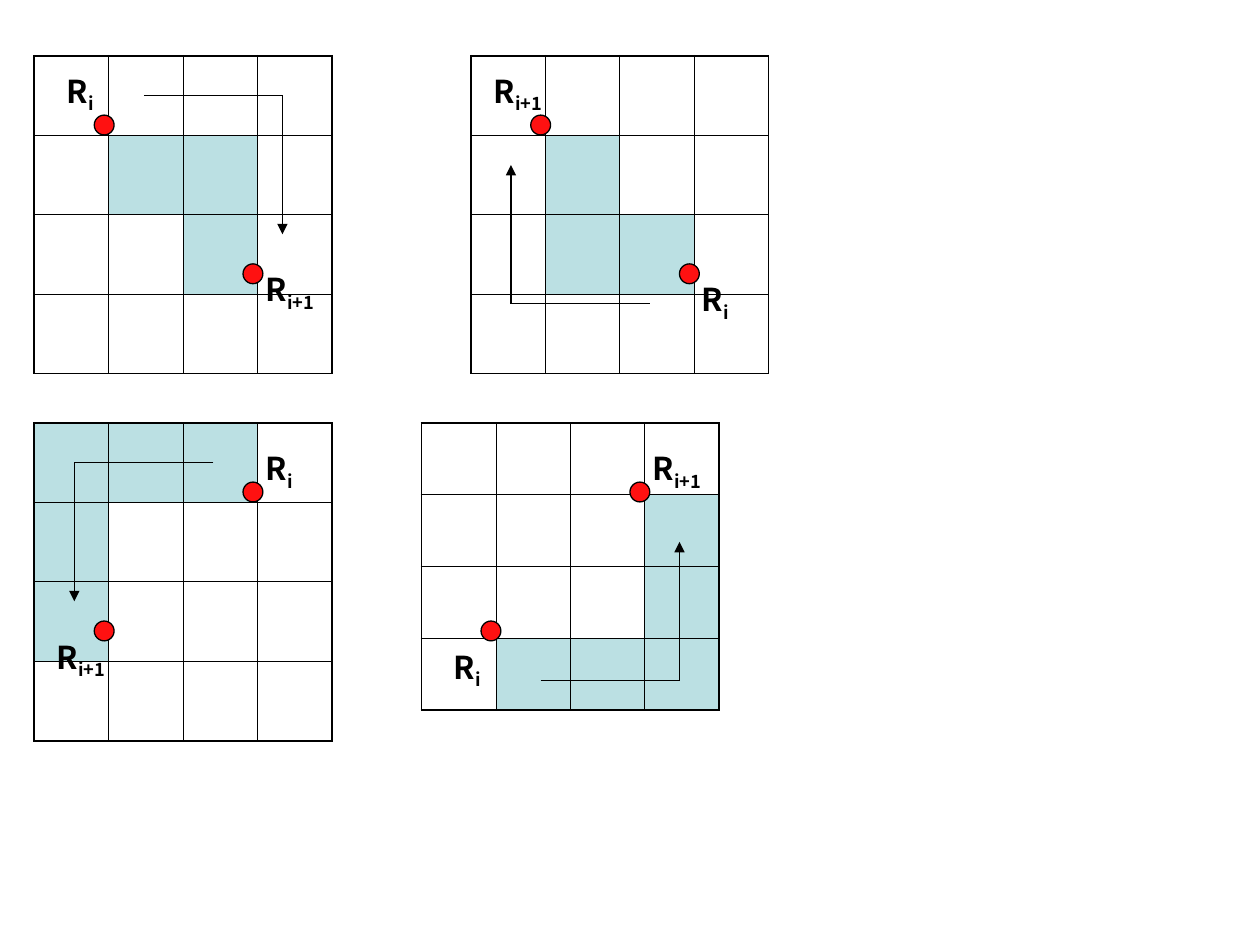
"""Build a slide of four grids showing moves from one point to the next."""
from lxml.etree import SubElement
from pptx import Presentation
from pptx.dml.color import RGBColor
from pptx.enum.shapes import MSO_CONNECTOR, MSO_SHAPE
from pptx.enum.text import MSO_AUTO_SIZE
from pptx.oxml.ns import qn
from pptx.util import Pt

COLORS = {"line": "000000", "cell": "BBE0E3", "dot": "FF1111"}
FONT = "Noto Sans CJK KR"
GRID_SIZE = 4
COLUMN_WIDTH = 42.5
DOT_SIZE = 11.34
INNER_BORDER, OUTER_BORDER = 0.45, 1.08

PANELS = [
    {"origin": (19.6, 31.9), "row_height": 45.4,
     "filled": {(1, 1), (1, 2), (2, 2)},
     "dots": [(53.9, 65.8), (138.9, 150.8)],
     "labels": [("i", 31.1, 37.4, 34), ("i+1", 144.7, 150.9, 51)],
     "arrow": [(82.2, 54.5), (161.4, 54.5), (161.4, 133.9)]},
    {"origin": (269.2, 31.9), "row_height": 45.4,
     "filled": {(1, 1), (2, 1), (2, 2)},
     "dots": [(303.3, 65.8), (388.3, 150.8)],
     "labels": [("i+1", 275, 37.4, 57), ("i", 394, 156.7, 45.4)],
     "arrow": [(371.4, 173.5), (292, 173.5), (292, 94.3)]},
    {"origin": (19.6, 241.7), "row_height": 45.4,
     "filled": {(0, 0), (0, 1), (0, 2), (1, 0), (2, 0)},
     "dots": [(138.9, 275.5), (53.9, 354.9)],
     "labels": [("i", 144.7, 253, 45.4), ("i+1", 25.3, 360.8, 45.4)],
     "arrow": [(121.9, 264.3), (42.5, 264.3), (42.5, 343.6)]},
    {"origin": (240.9, 241.7), "row_height": 41,
     "filled": {(1, 3), (2, 3), (3, 1), (3, 2), (3, 3)},
     "dots": [(274.9, 354.9), (360, 275.5)],
     "labels": [("i", 252.1, 366.5, 39.6), ("i+1", 365.8, 253, 45.4)],
     "arrow": [(309, 389), (388.3, 389), (388.3, 309.7)]},
]


def color(name):
    return RGBColor.from_string(COLORS[name])


def add_border(properties, side, width):
    line = SubElement(properties, qn(f"a:ln{side}"), w=str(Pt(width)))
    fill = SubElement(line, qn("a:solidFill"))
    SubElement(fill, qn("a:srgbClr"), val=COLORS["line"])


def add_grid(slide, origin, row_height, filled):
    left, top = origin
    frame = slide.shapes.add_table(
        GRID_SIZE, GRID_SIZE, Pt(left), Pt(top),
        Pt(GRID_SIZE * COLUMN_WIDTH), Pt(GRID_SIZE * row_height))
    table = frame.table
    table.first_row = table.horz_banding = False
    last = GRID_SIZE - 1
    for row in range(GRID_SIZE):
        for column in range(GRID_SIZE):
            cell = table.cell(row, column)
            properties = cell._tc.get_or_add_tcPr()
            outer_sides = {"L": column == 0, "R": column == last,
                           "T": row == 0, "B": row == last}
            for side, outer in outer_sides.items():
                add_border(properties, side, OUTER_BORDER if outer else INNER_BORDER)
            if (row, column) in filled:
                cell.fill.solid()
                cell.fill.fore_color.rgb = color("cell")
            else:
                cell.fill.background()


def add_dot(slide, left, top):
    dot = slide.shapes.add_shape(
        MSO_SHAPE.OVAL, Pt(left), Pt(top), Pt(DOT_SIZE), Pt(DOT_SIZE))
    dot.shadow.inherit = False
    dot.fill.solid()
    dot.fill.fore_color.rgb = color("dot")
    dot.line.color.rgb = color("line")
    dot.line.width = Pt(0.75)


def add_run(paragraph, text, *, size=18, bold=True, baseline=0):
    run = paragraph.add_run()
    run.text = text
    run.font.name = FONT
    run.font.size = Pt(size)
    run.font.bold = bold
    run.font.color.rgb = color("line")
    if baseline:
        run.font._element.set("baseline", str(baseline * 1000))


def add_label(slide, subscript, left, top, width):
    box = slide.shapes.add_textbox(Pt(left), Pt(top), Pt(width), Pt(31.7))
    frame = box.text_frame
    frame.word_wrap = True
    frame.auto_size = MSO_AUTO_SIZE.SHAPE_TO_FIT_TEXT
    add_run(frame.paragraphs[0], "R")
    add_run(frame.paragraphs[0], subscript, baseline=-25)


def add_bent_arrow(slide, points):
    group = slide.shapes.add_group_shape()
    for start, end in zip(points, points[1:]):
        connector = group.shapes.add_connector(
            MSO_CONNECTOR.STRAIGHT, *map(Pt, start + end))
        connector.line.color.rgb = color("line")
        connector.line.width = Pt(0.75)
        if end == points[-1]:
            SubElement(connector.line._get_or_add_ln(), qn("a:tailEnd"), type="triangle")
        SubElement(connector._element.spPr, qn("a:effectLst"))


def main():
    presentation = Presentation()
    presentation.slide_width, presentation.slide_height = Pt(720), Pt(540)
    slide = presentation.slides.add_slide(presentation.slide_layouts[6])
    for panel in PANELS:
        add_grid(slide, panel["origin"], panel["row_height"], panel["filled"])
        for dot in panel["dots"]:
            add_dot(slide, *dot)
        for label in panel["labels"]:
            add_label(slide, *label)
        add_bent_arrow(slide, panel["arrow"])
    presentation.save("out.pptx")


if __name__ == "__main__":
    main()
